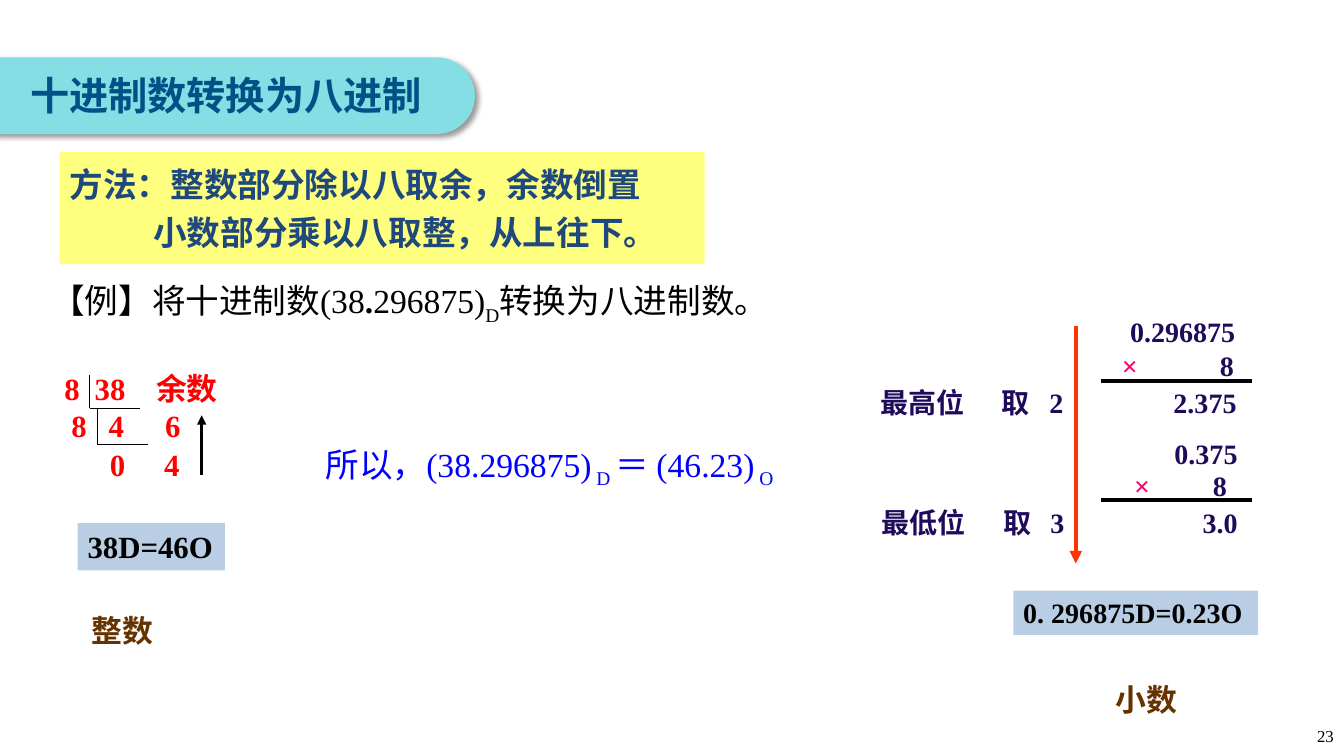
from dataclasses import dataclass

from lxml.etree import SubElement
from pptx import Presentation
from pptx.dml.color import RGBColor
from pptx.enum.shapes import MSO_CONNECTOR, MSO_SHAPE
from pptx.enum.text import MSO_ANCHOR, MSO_AUTO_SIZE, PP_ALIGN
from pptx.oxml.ns import qn
from pptx.shapes.base import BaseShape
from pptx.slide import Slide
from pptx.text.text import TextFrame, _Paragraph
from pptx.util import Inches, Pt


@dataclass(frozen=True)
class Theme:
    latin: str = "Times New Roman"
    cjk: str = "Noto Sans CJK SC"
    banner: str = "86DEE5"
    title: str = "005286"
    method: str = "1F497D"
    method_fill: str = "FFFF00"
    result_fill: str = "B9CDE5"
    black: str = "000000"
    conclusion: str = "0000FF"
    division: str = "FF0000"
    multiplication: str = "200B5B"
    times_sign: str = "F00A72"
    caption: str = "663300"
    arrow: str = "FF3300"
    title_size: int = 28
    body_size: int = 24
    division_size: int = 22
    multiplication_size: int = 20
    number_size: int = 12


THEME = Theme()


@dataclass(frozen=True)
class Piece:
    text: str
    subscript: bool = False
    bold: bool | None = None
    color: str | None = None


@dataclass(frozen=True)
class Label:
    left: float
    top: float
    width: float
    height: float
    pieces: tuple[Piece, ...]
    size: int
    color: str
    bold: bool = True
    fill: str | None = None
    tabs: tuple[float, ...] = ()
    align: PP_ALIGN = PP_ALIGN.LEFT
    anchor: MSO_ANCHOR = MSO_ANCHOR.TOP


@dataclass(frozen=True)
class Line:
    start: tuple[float, float]
    end: tuple[float, float]
    weight: float
    color: str = THEME.black
    arrow: bool = False


def style(paragraph: _Paragraph, size: int, color: str, bold: bool, latin: str) -> None:
    font = paragraph.font
    font.size, font.bold, font.name = Pt(size), bold, latin
    font.color.rgb = RGBColor.from_string(color)
    SubElement(paragraph._p.pPr.find(qn("a:defRPr")), qn("a:ea"), typeface=THEME.cjk)


def prepare(frame: TextFrame, anchor: MSO_ANCHOR) -> None:
    frame.word_wrap = True
    frame.auto_size = MSO_AUTO_SIZE.NONE
    frame.vertical_anchor = anchor
    frame.margin_right = 0


def place(shape: BaseShape, left: float, top: float, width: float, height: float) -> None:
    shape.left, shape.top = Inches(left), Inches(top)
    shape.width, shape.height = Inches(width), Inches(height)


def add_label(slide: Slide, label: Label) -> None:
    box = slide.shapes.add_textbox(
        Inches(label.left), Inches(label.top), Inches(label.width), Inches(label.height))
    if label.fill:
        box.fill.solid()
        box.fill.fore_color.rgb = RGBColor.from_string(label.fill)
    prepare(box.text_frame, label.anchor)
    paragraph = box.text_frame.paragraphs[0]
    paragraph.alignment = label.align
    if label.tabs:
        tab_list = SubElement(paragraph._p.get_or_add_pPr(), qn("a:tabLst"))
        for position in label.tabs:
            SubElement(tab_list, qn("a:tab"), pos=str(Inches(position)), algn="l")
    style(paragraph, label.size, label.color, label.bold, THEME.latin)
    for piece in label.pieces:
        run = paragraph.add_run()
        run.text = piece.text
        if piece.bold is not None:
            run.font.bold = piece.bold
        if piece.color:
            run.font.color.rgb = RGBColor.from_string(piece.color)
        if piece.subscript:
            run._r.get_or_add_rPr().set("baseline", "-25000")


def add_line(slide: Slide, line: Line) -> None:
    connector = slide.shapes.add_connector(
        MSO_CONNECTOR.STRAIGHT, *(Inches(value) for value in line.start + line.end))
    connector.line.width = Pt(line.weight)
    connector.line.color.rgb = RGBColor.from_string(line.color)
    if line.arrow:
        SubElement(connector.line._get_or_add_ln(), qn("a:tailEnd"), type="triangle")
    SubElement(connector._element.spPr, qn("a:effectLst"))


def add_title(slide: Slide) -> None:
    banner = slide.shapes.add_shape(
        MSO_SHAPE.ROUNDED_RECTANGLE, Inches(-0.38), Inches(0.57), Inches(5.09), Inches(0.76))
    banner.adjustments[0] = 0.5
    banner.fill.solid()
    banner.fill.fore_color.rgb = RGBColor.from_string(THEME.banner)
    banner.line.fill.background()
    banner.shadow.inherit = False
    shadow = SubElement(banner._element.spPr.find(qn("a:effectLst")), qn("a:outerShdw"),
                        blurRad=str(Pt(4)), dist=str(Pt(3)), dir="2700000", algn="tl")
    color = SubElement(shadow, qn("a:srgbClr"), val=THEME.black)
    SubElement(color, qn("a:alpha"), val="40000")
    slide.shapes._spTree.insert(2, banner._element)  # behind the title

    title = slide.shapes.title
    place(title, 0.2, 0.66, 7.73, 0.57)
    title.text = "十进制数转换为八进制"
    prepare(title.text_frame, MSO_ANCHOR.TOP)
    paragraph = title.text_frame.paragraphs[0]
    paragraph.alignment = PP_ALIGN.LEFT
    style(paragraph, THEME.title_size, THEME.title, True, THEME.cjk)


def add_method(slide: Slide) -> None:
    body = slide.placeholders[1]
    place(body, 0.59, 1.51, 6.4, 1.11)
    body.fill.solid()
    body.fill.fore_color.rgb = RGBColor.from_string(THEME.method_fill)
    fill_color = body._element.spPr.find(qn("a:solidFill"))[0]
    SubElement(fill_color, qn("a:alpha"), val="50000")
    body.text = "方法：整数部分除以八取余，余数倒置\n小数部分乘以八取整，从上往下。"
    prepare(body.text_frame, MSO_ANCHOR.MIDDLE)
    for paragraph, margin, space in zip(body.text_frame.paragraphs, (0, 0.83), (0, 6)):
        properties = paragraph._p.get_or_add_pPr()
        properties.set("marL", str(Inches(margin)))
        properties.set("indent", "0")
        SubElement(properties, qn("a:buNone"))
        paragraph.space_before = Pt(space)
        style(paragraph, THEME.body_size, THEME.method, True, THEME.cjk)


def add_sentences(slide: Slide) -> None:
    example = (Piece("【例】将十进制数(38"), Piece(".", bold=True), Piece("296875)"),
               Piece("D", subscript=True), Piece("转换为八进制数。"))
    conclusion = (Piece("所以，(38.296875)"), Piece(" D ", subscript=True),
                  Piece("＝ (46.23)"), Piece(" O", subscript=True))
    add_label(slide, Label(0.41, 2.73, 7.7, 0.5, example, THEME.body_size, THEME.black, False))
    add_label(slide, Label(3.13, 4.35, 5.08, 0.5, conclusion, THEME.body_size,
                           THEME.conclusion, False))


def add_division(slide: Slide) -> None:
    size = THEME.division_size
    rows = {3.62: ((0.54, "8"), (0.84, "38"), (1.45, "余数")),
            3.99: ((0.61, "8"), (0.98, "4"), (1.54, "6")),
            4.37: ((0.99, "0"), (1.53, "4"))}
    for top, cells in rows.items():
        for left, text in cells:
            add_label(slide, Label(left, top, 0.82, 0.47, (Piece(text),), size, THEME.division))
    for left, top, bottom in ((0.89, 3.72, 4.05), (0.97, 4.05, 4.41)):
        add_line(slide, Line((left, top), (left, bottom), 1))
        add_line(slide, Line((left, bottom), (left + 0.5, bottom), 1))
    add_line(slide, Line((2, 4.71), (2, 4.12), 2.25, arrow=True))
    add_label(slide, Label(0.77, 5.19, 1.46, 0.47, (Piece("38D=46O"),), size, THEME.black,
                           fill=THEME.result_fill))
    add_label(slide, Label(0.81, 6.02, 0.82, 0.47, (Piece("整数"),), size, THEME.caption))


def add_multiplication(slide: Slide) -> None:
    size, color = THEME.multiplication_size, THEME.multiplication
    times_eight = (Piece("×\t", color=THEME.times_sign), Piece("8"))
    labels = (
        Label(11.11, 3.07, 1.33, 0.43, (Piece("0.296875"),), size, color),
        Label(11.03, 3.41, 1.33, 0.43, times_eight, size, color, tabs=(0.97,)),
        Label(11.54, 3.78, 0.92, 0.43, (Piece("2.375"),), size, color),
        Label(11.55, 4.28, 0.92, 0.43, (Piece("0.375"),), size, color),
        Label(11.15, 4.6, 1.25, 0.43, times_eight, size, color, tabs=(0.78,)),
        Label(11.83, 4.97, 0.55, 0.43, (Piece("3.0"),), size, color),
        Label(8.63, 3.78, 2.04, 0.43, (Piece("最高位\t取\t2"),), size, color, tabs=(1.21, 1.68)),
        Label(8.64, 4.97, 2.04, 0.43, (Piece("最低位\t取\t3"),), size, color, tabs=(1.21, 1.68)),
        Label(10.05, 5.86, 2.43, 0.44, (Piece("0. 296875D=0.23O"),), size, THEME.black,
              fill=THEME.result_fill),
        Label(10.97, 6.7, 0.82, 0.47, (Piece("小数"),), THEME.division_size, THEME.caption),
    )
    for label in labels:
        add_label(slide, label)
    for height in (3.78, 4.96):
        add_line(slide, Line((10.92, height), (12.42, height), 3))
    add_line(slide, Line((10.67, 3.23), (10.67, 5.59), 3, THEME.arrow, True))


def main() -> None:
    presentation = Presentation()
    presentation.slide_width, presentation.slide_height = Inches(13.33), Inches(7.5)
    slide = presentation.slides.add_slide(presentation.slide_layouts[1])
    add_title(slide)
    add_method(slide)
    add_sentences(slide)
    add_division(slide)
    add_multiplication(slide)
    # Slide number
    add_label(slide, Label(10.33, 7.1, 2.9, 0.4, (Piece("23"),), THEME.number_size, THEME.black,
                           False, align=PP_ALIGN.RIGHT, anchor=MSO_ANCHOR.MIDDLE))
    presentation.save("out.pptx")


if __name__ == "__main__":
    main()
